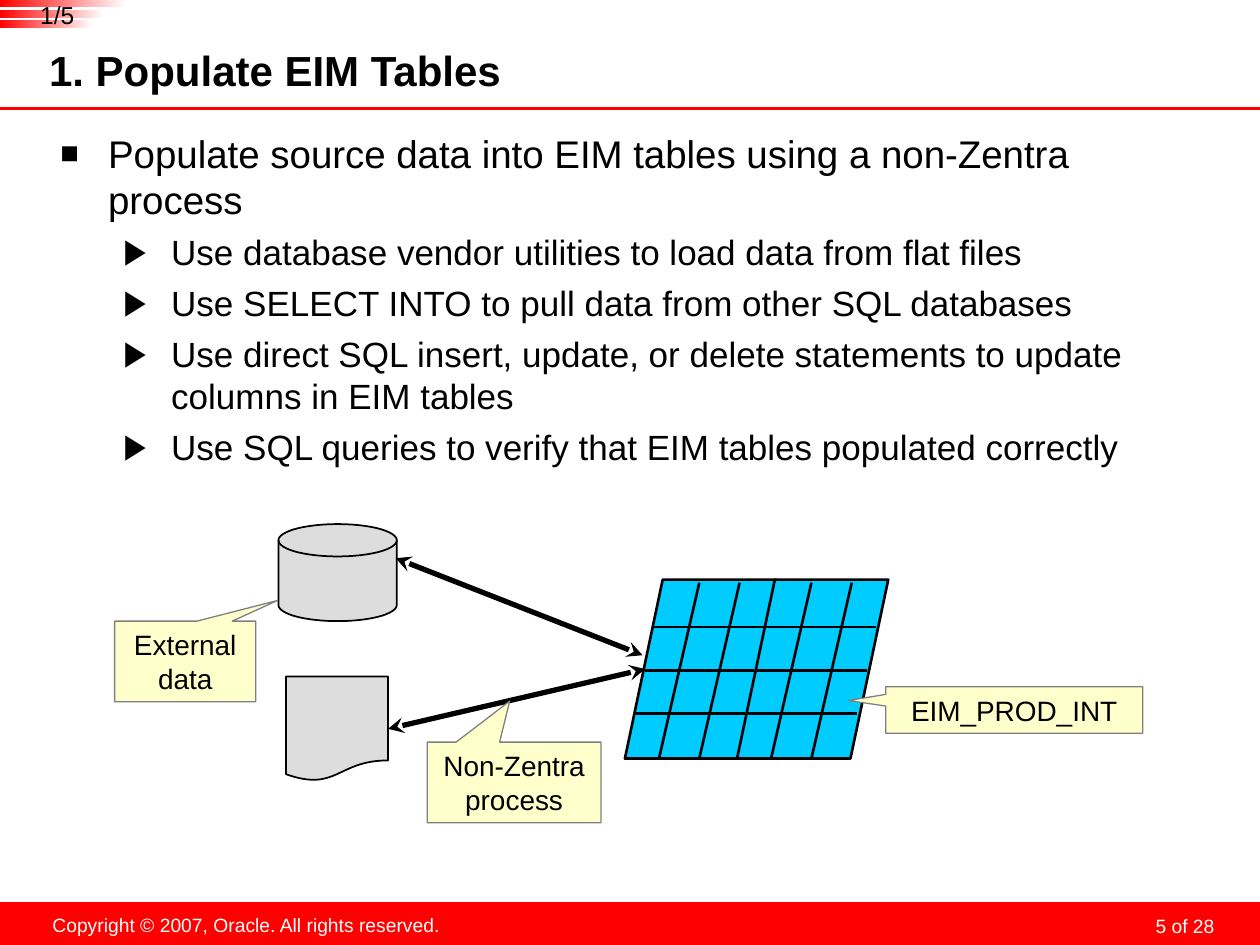
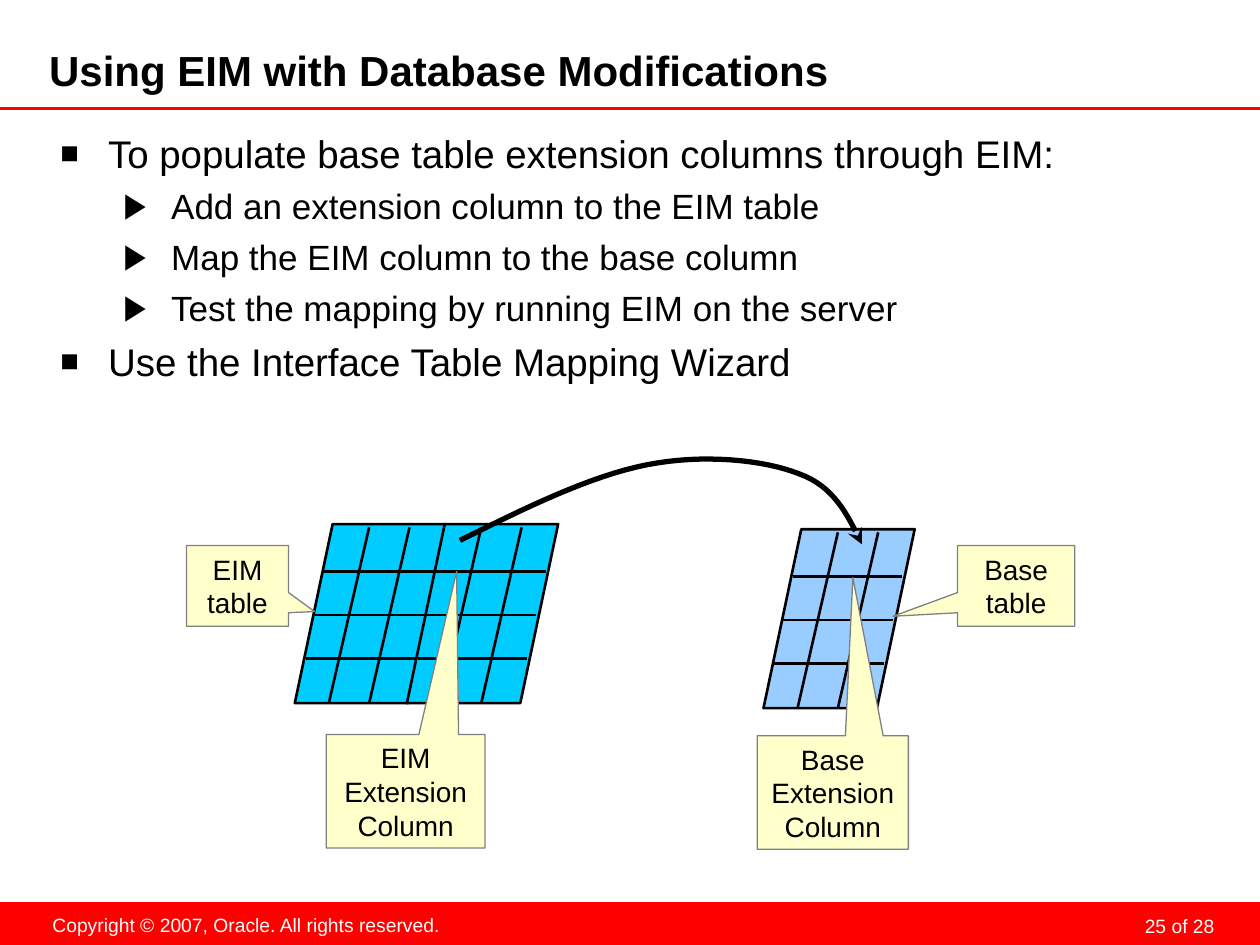
import lxml.etree
import pptx
import pptx.dml.color
import pptx.enum.shapes
import pptx.enum.text
import pptx.oxml.ns
import pptx.util

RED = pptx.dml.color.RGBColor(0xFF, 0x00, 0x00)
WHITE = pptx.dml.color.RGBColor(0xFF, 0xFF, 0xFF)
BLACK = pptx.dml.color.RGBColor(0x00, 0x00, 0x00)
GRAY = pptx.dml.color.RGBColor(0x80, 0x80, 0x80)
SILVER = pptx.dml.color.RGBColor(0xDD, 0xDD, 0xDD)
CREAM = pptx.dml.color.RGBColor(0xFF, 0xFF, 0xCC)
CYAN = pptx.dml.color.RGBColor(0x00, 0xCC, 0xFF)
SKY = pptx.dml.color.RGBColor(0x99, 0xCC, 0xFF)

FONT = "Arial"
PRESET = pptx.enum.shapes.MSO_SHAPE
ALIGN = pptx.enum.text.PP_ALIGN
ANCHOR = pptx.enum.text.MSO_ANCHOR
Pt = pptx.util.Pt
qn = pptx.oxml.ns.qn

deck = pptx.Presentation()
deck.slide_width = pptx.util.Inches(10)
deck.slide_height = pptx.util.Inches(7.5)
COL = deck.slide_width // 100
ROW = deck.slide_height // 75


def add_block(shapes, box, preset=None, fill=None, outline=None, weight=1, text="",
              size=16, color=BLACK, bold=False, align=ALIGN.CENTER, anchor=ANCHOR.TOP,
              insets=(1, 0.5, 1, 0.5), wrap=True):
    left, top, width, height = box
    area = [round(left * COL), round(top * ROW), round(width * COL), round(height * ROW)]
    if preset is None:
        block = shapes.add_textbox(*area)
    else:
        block = shapes.add_shape(preset, *area)
        block.shadow.inherit = False
        if fill is not None:
            block.fill.solid()
            block.fill.fore_color.rgb = fill
        if outline is None:
            block.line.fill.background()
        else:
            block.line.color.rgb = outline
            block.line.width = Pt(weight)
    frame = block.text_frame
    frame.word_wrap = wrap
    frame.vertical_anchor = anchor
    frame.margin_left, frame.margin_right = round(insets[0] * COL), round(insets[2] * COL)
    frame.margin_top, frame.margin_bottom = round(insets[1] * ROW), round(insets[3] * ROW)
    if text:
        frame.paragraphs[0].alignment = align
        run = frame.paragraphs[0].add_run()
        run.text = text
        run.font.name, run.font.size, run.font.bold = FONT, Pt(size), bold
        run.font.color.rgb = color
    return block


def add_line(shapes, start, end, color=BLACK, weight=1.5, arrows=()):
    line = shapes.add_connector(
        pptx.enum.shapes.MSO_CONNECTOR.STRAIGHT,
        round(start[0] * COL), round(start[1] * ROW), round(end[0] * COL), round(end[1] * ROW))
    line.line.color.rgb = color
    line.line.width = Pt(weight)
    properties = line.element.spPr
    for arrow in arrows:
        lxml.etree.SubElement(properties.find(qn("a:ln")), qn(arrow), type="stealth")
    lxml.etree.SubElement(properties, qn("a:effectLst"))
    return line


BULLETS = [
    {"char": "■", "scale": "80000", "size": 22, "indent": 3.8, "before": 5.5},
    {"char": "▶", "scale": "100000", "size": 20, "indent": 8.8, "before": 5},
]
HANG = 3.8

topics = [
    ("1. Populate EIM Tables", "5 of 28", [
        (0, "Populate source data into EIM tables using a non-Zentra process"),
        (1, "Use database vendor utilities to load data from flat files"),
        (1, "Use SELECT INTO to pull data from other SQL databases"),
        (1, "Use direct SQL insert, update, or delete statements to update columns in EIM tables"),
        (1, "Use SQL queries to verify that EIM tables populated correctly"),
    ]),
    ("Using EIM with Database Modifications", "25 of 28", [
        (0, "To populate base table extension columns through EIM:"),
        (1, "Add an extension column to the EIM table"),
        (1, "Map the EIM column to the base column"),
        (1, "Test the mapping by running EIM on the server"),
        (0, "Use the Interface Table Mapping Wizard"),
    ]),
]

canvases = []
for title, page, points in topics:
    shapes = deck.slides.add_slide(deck.slide_layouts[6]).shapes
    canvases.append(shapes)
    add_block(shapes, (0, 71.6, 100, 3.4), PRESET.RECTANGLE, RED)
    page_label = add_block(shapes, (73.6, 71.9, 23.3, 2.5), text=page, size=11, color=WHITE,
                           align=ALIGN.RIGHT, insets=(0.5, 0, 0.5, 0))
    page_label.text_frame.paragraphs[0].line_spacing = Pt(18)
    add_block(shapes, (3.1, 72, 32.9, 2.9), size=11, color=WHITE, wrap=False,
              text="Copyright © 2007, Oracle. All rights reserved.")
    add_line(shapes, (0, 8.6), (100, 8.6), RED, 1.75)
    add_block(shapes, (3.9, 3.8, 78.7, 4), text=title, size=24, bold=True, align=ALIGN.LEFT,
              anchor=ANCHOR.MIDDLE, insets=(0, 0, 0.5, 0.5))

    outline = add_block(shapes, (3.8, 9.3, 91.5, 61.8), insets=(1, 1, 1, 0.5)).text_frame
    for index, (level, point) in enumerate(points):
        style = BULLETS[level]
        paragraph = outline.add_paragraph() if index else outline.paragraphs[0]
        paragraph.level = level
        layout = paragraph._p.get_or_add_pPr()
        layout.set("marL", str(round(style["indent"] * COL)))
        layout.set("indent", str(round(-HANG * COL)))
        bullet_color = lxml.etree.SubElement(layout, qn("a:buClr"))
        lxml.etree.SubElement(bullet_color, qn("a:srgbClr"), val=str(BLACK))
        lxml.etree.SubElement(layout, qn("a:buSzPct"), val=style["scale"])
        lxml.etree.SubElement(layout, qn("a:buFont"), typeface=FONT)
        lxml.etree.SubElement(layout, qn("a:buChar"), char=style["char"])
        if index:
            paragraph.space_before = Pt(style["before"])
        run = paragraph.add_run()
        run.text = point
        run.font.name, run.font.size = FONT, Pt(style["size"])
        run.font.color.rgb = BLACK

populate, mapping = canvases

PANEL_WIDTH, PANEL_HEIGHT, SLANT, CELL = 12, 14.2, 3, 3.2
for shapes, left, top, color in [
    (populate, 49.6, 46, CYAN), (populate, 58.5, 46, CYAN),
    (mapping, 60.6, 42, SKY), (mapping, 23.4, 41.6, CYAN), (mapping, 32.3, 41.6, CYAN),
]:
    panel = shapes.add_group_shape().shapes
    add_block(panel, (left, top, PANEL_WIDTH, PANEL_HEIGHT), PRESET.PARALLELOGRAM,
              color, BLACK, 1.5).adjustments[0] = 0.25
    for divider in range(2):
        foot = left + 2.7 + divider * CELL
        add_line(panel, (foot + CELL, top + 0.25), (foot, top + PANEL_HEIGHT))
    for depth in (3.75, 7.2, 10.65):
        edge = left + SLANT * (1 - depth / PANEL_HEIGHT) + 0.1
        add_line(panel, (edge, top + depth), (edge + 8.7, top + depth))

flat_file = add_block(populate, (22.7, 53.7, 8.1, 8.3), PRESET.FLOWCHART_DOCUMENT, SILVER, BLACK)
add_block(populate, (22.1, 41.6, 9.4, 7.7), PRESET.FLOWCHART_MAGNETIC_DISK, SILVER, BLACK)
BOTH_ENDS = ("a:headEnd", "a:tailEnd")
add_line(populate, (31.4, 44.3), (51, 52), weight=3, arrows=BOTH_ENDS)
file_load = add_line(populate, (30.8, 57.8), (51.2, 53.1), weight=3, arrows=BOTH_ENDS)
file_load.begin_connect(flat_file, 3)

MAPPING_CURVE = [
    ((36.5, 42.9), (41.7, 40.3), (46.8, 37.8), (51.3, 36.9)),
    ((51.3, 36.9), (55.8, 36), (60.6, 36.5), (63.4, 37.6)),
    ((63.4, 37.6), (66.2, 38.6), (67.3, 40.9), (68.4, 43.2)),
]
STEPS = 16
route = []
for a, b, c, d in MAPPING_CURVE:
    for step in range(1, STEPS + 1):
        t = step / STEPS
        u = 1 - t
        x, y = [u**3 * a[i] + 3 * u * u * t * b[i] + 3 * u * t * t * c[i] + t**3 * d[i]
                for i in range(2)]
        route.append((round(x * COL), round(y * ROW)))
start_x, start_y = MAPPING_CURVE[0][0]
builder = mapping.build_freeform(round(start_x * COL), round(start_y * ROW))
builder.add_line_segments(route, close=False)
column_map = builder.convert_to_shape()
column_map.shadow.inherit = False
column_map.fill.background()
column_map.line.color.rgb = BLACK
column_map.line.width = Pt(3)
lxml.etree.SubElement(column_map.element.spPr.find(qn("a:ln")), qn("a:tailEnd"), type="stealth")

for shapes, label, box, tip in [
    (populate, "EIM_PROD_INT", (70.3, 54.5, 20.4, 3.7), (-0.645, -0.202)),
    (populate, "External data", (9.1, 49.3, 11.2, 6.4), (0.654, -0.756)),
    (populate, "Non-Zentra process", (33.9, 58.9, 13.8, 6.4), (-0.025, -1.009)),
    (mapping, "EIM table", (14.8, 43.3, 8.1, 6.4), (0.756, 0.319)),
    (mapping, "Base table", (76, 43.3, 9.3, 6.4), (-1.051, 0.377)),
    (mapping, "EIM Extension Column", (25.9, 58.3, 12.6, 9), (0.321, -1.938)),
    (mapping, "Base Extension Column", (60.1, 58.4, 12, 9), (0.133, -1.895)),
]:
    callout = add_block(shapes, box, PRESET.RECTANGULAR_CALLOUT, CREAM, GRAY, 0.75,
                        text=label, anchor=ANCHOR.MIDDLE)
    callout.adjustments[0], callout.adjustments[1] = tip

step_badge = populate.add_group_shape().shapes
for index, length in enumerate((10.1, 8.2, 7.3)):
    stripe = add_block(step_badge, (0, index * 0.8, length, 0.6), PRESET.ROUNDED_RECTANGLE)
    stripe.adjustments[0] = 0
    stripe.fill.gradient()
    stripe.fill.gradient_angle = 180
    for stop, color in zip(stripe.fill.gradient_stops, (WHITE, RED)):
        stop.color.rgb = color
add_block(step_badge, (2, 0, 5.1, 2.3), text="1/5", size=14, insets=(0, 0, 0, 0))

deck.save("out.pptx")
